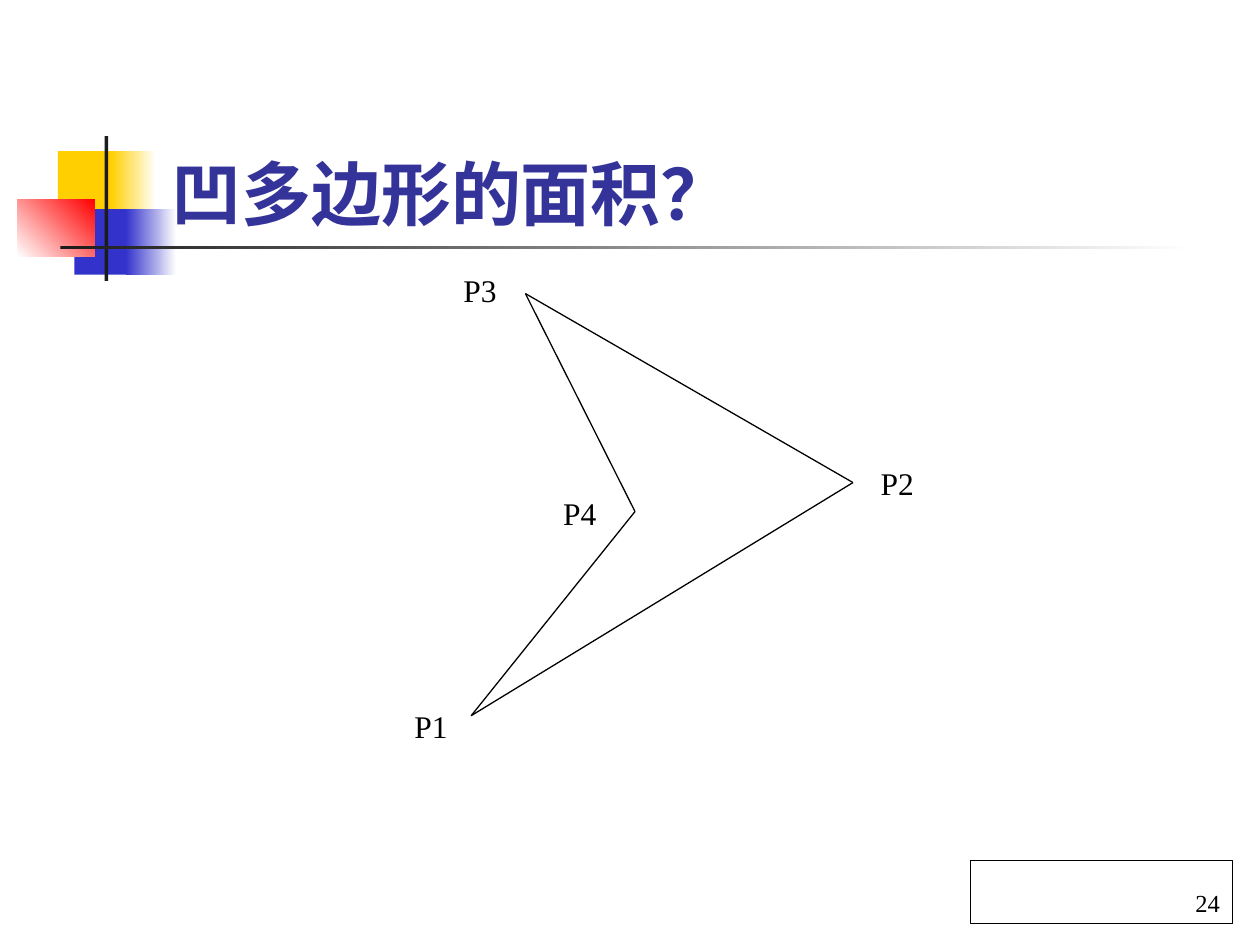
from pptx import Presentation
from pptx.dml.color import RGBColor as RGB
from pptx.enum.shapes import MSO_CONNECTOR as LINE, MSO_SHAPE as SHAPE
from pptx.enum.text import MSO_ANCHOR as ANCHOR, MSO_AUTO_SIZE as FIT, PP_ALIGN as ALIGN
from pptx.oxml.ns import qn
from pptx.util import Inches, Pt
from lxml.etree import SubElement

HUES = {"gold": "FFCF01", "blue": "3333CC", "red": "FF0000", "dark": "1C1C1C",
        "white": "FFFFFF", "black": "000000", "title": "333399"}


def hue(name):
    """Return the named colour."""
    return RGB.from_string(HUES[name])


def block(shapes, x, y, w, h, first, last=None, angle=0):
    """Add a borderless rectangle, plain or fading from first to last."""
    box = shapes.add_shape(SHAPE.RECTANGLE, *map(Inches, (x, y, w, h)))
    box.shadow.inherit = False
    box.line.fill.background()
    if last:
        box.fill.gradient()
        box.fill.gradient_angle = angle
        for stop, name in zip(box.fill.gradient_stops, (first, last)):
            stop.color.rgb = hue(name)
    else:
        box.fill.solid()
        box.fill.fore_color.rgb = hue(first)
    return box


def write(frame, text, size, font, name, align=ALIGN.LEFT):
    """Put one formatted run in the frame."""
    para = frame.paragraphs[0]
    para.alignment = align
    run = para.add_run()
    run.text = text
    run.font.size = Pt(size)
    run.font.name = font
    run.font.color.rgb = hue(name)
    return run


def draw_logo(shapes, x, y):
    """Draw the coloured squares and the crossing bars."""
    block(shapes, x + 0.32, y + 0.12, 0.48, 0.52, "gold")
    block(shapes, x + 0.74, y + 0.12, 0.36, 0.52, "gold", "white")
    block(shapes, x + 0.45, y + 0.58, 0.46, 0.52, "blue")
    block(shapes, x + 0.86, y + 0.58, 0.4, 0.52, "blue", "white")
    block(shapes, x, y + 0.5, 0.61, 0.46, "white", "red", 45)
    block(shapes, x + 0.69, y, 0.03, 1.15, "dark")
    block(shapes, x + 0.34, y + 0.87, 9, 0.03, "dark", "white")


def set_title(slide, x, y, w, h):
    """Place and fill the title in front of the squares."""
    title = slide.shapes.title
    title.left, title.top, title.width, title.height = map(Inches, (x, y, w, h))
    slide.shapes._spTree.append(title._element)
    frame = title.text_frame
    frame.auto_size = FIT.NONE
    frame.vertical_anchor = ANCHOR.BOTTOM
    write(frame, "凹多边形的面积？", 40, "Arial", "title").font.bold = True


def draw_shape(shapes, x, y):
    """Draw the concave polygon with its corner labels."""
    group = shapes.add_group_shape().shapes
    spots = {"P1": (0.55, 3.58, 0, 3.46), "P2": (3.58, 1.73, 3.7, 1.53),
             "P3": (0.98, 0.23, 0.39, 0), "P4": (1.85, 1.96, 1.18, 1.77)}
    names = list(spots)
    for start, end in zip(names, names[1:] + names[:1]):
        (ax, ay), (bx, by) = spots[start][:2], spots[end][:2]
        edge = group.add_connector(LINE.STRAIGHT, Inches(x + ax), Inches(y + ay),
                                   Inches(x + bx), Inches(y + by))
        edge.line.color.rgb = hue("black")
        edge.line.width = Pt(0.75)
        SubElement(edge._element.spPr, qn("a:effectLst"))
    for name, (_, _, dx, dy) in spots.items():
        label = group.add_textbox(Inches(x + dx), Inches(y + dy), Inches(0.79), Inches(0.4))
        label.text_frame.word_wrap = True
        write(label.text_frame, name, 18, "Times New Roman", "black")


def add_page(shapes, x, y, w, h):
    """Add the framed page number."""
    box = block(shapes, x, y, w, h, "white")
    box.line.color.rgb = hue("black")
    box.line.width = Pt(0.75)
    box.text_frame.vertical_anchor = ANCHOR.BOTTOM
    write(box.text_frame, "24", 14, "Times New Roman", "black", ALIGN.RIGHT)


def main():
    """Build and save the slide."""
    deck = Presentation()
    deck.slide_width, deck.slide_height = Inches(10), Inches(7.5)
    slide = deck.slides.add_slide(deck.slide_layouts[5])
    draw_logo(slide.shapes, 0.14, 1.08)
    set_title(slide, 1.26, 1.07, 6.93, 0.84)
    draw_shape(slide.shapes, 3.19, 2.1)
    add_page(slide.shapes, 7.7, 6.83, 2.08, 0.5)
    deck.save("out.pptx")


if __name__ == "__main__":
    main()
